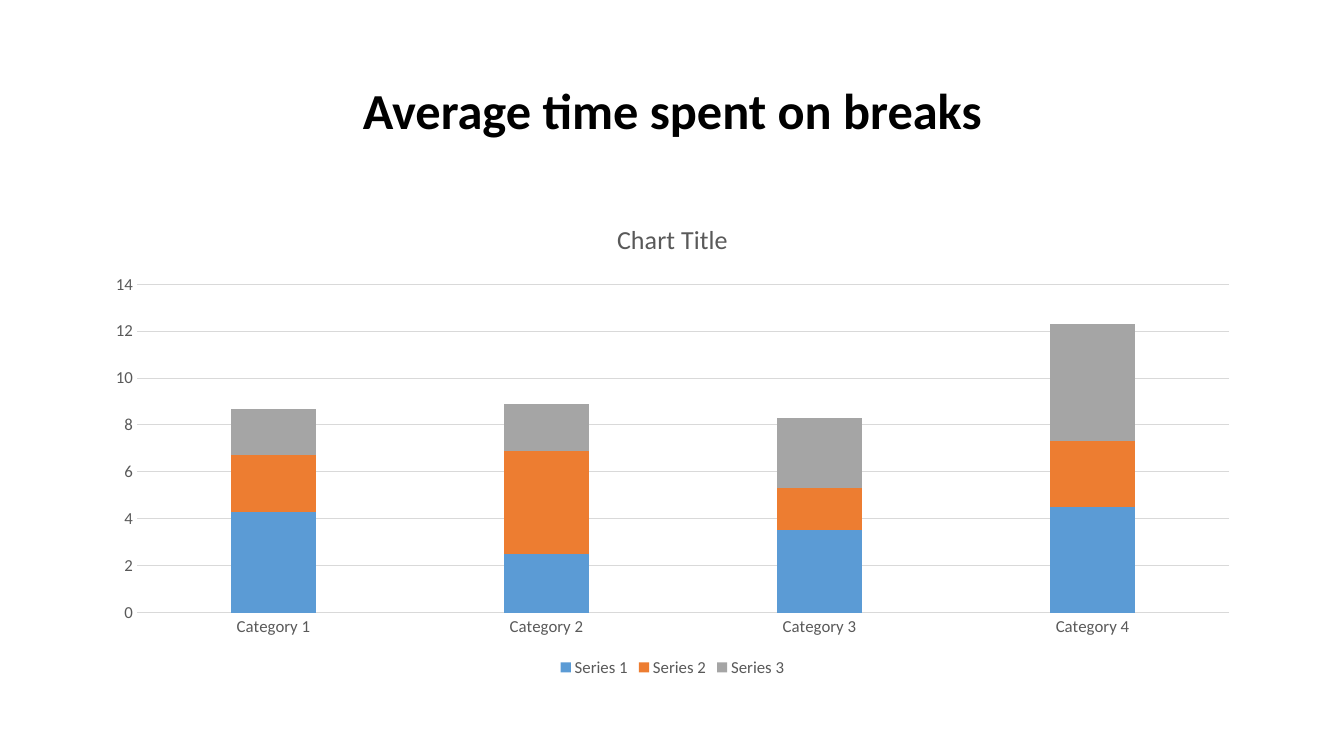
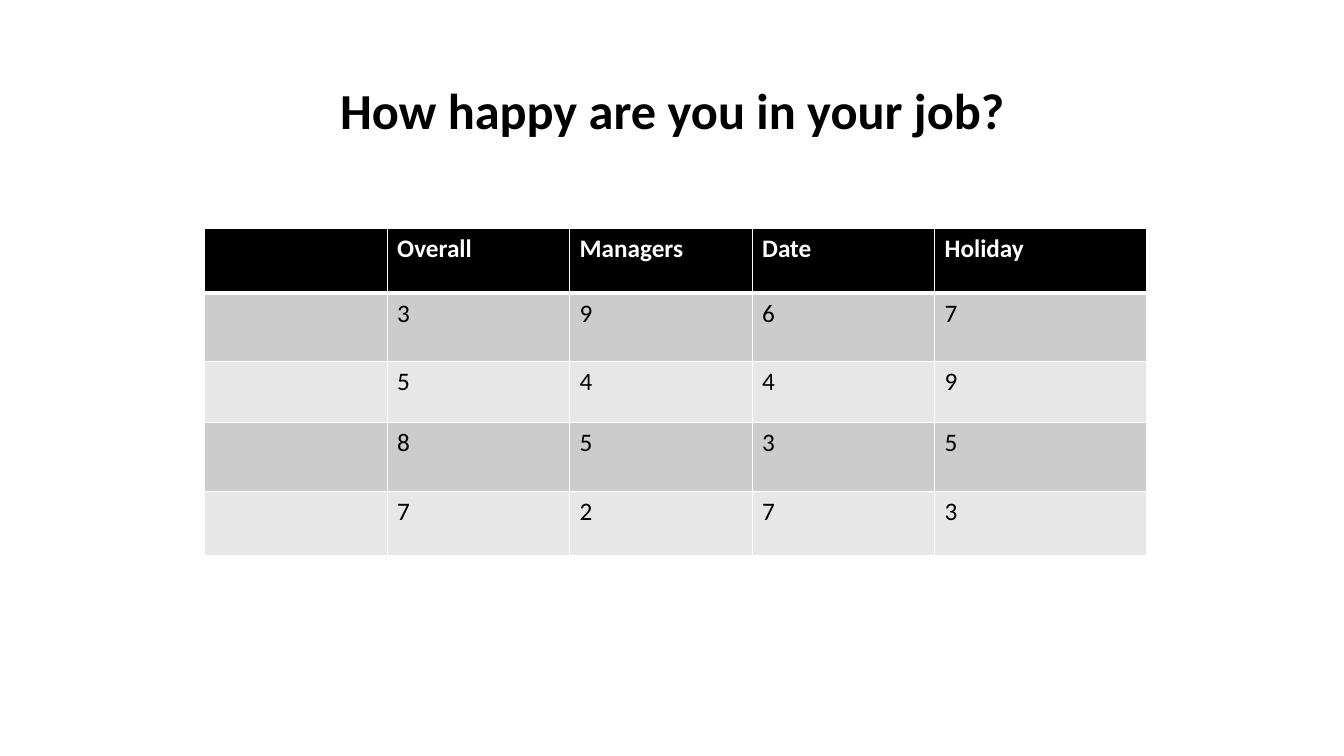
from lxml import etree
from pptx import Presentation
from pptx import util as u
from pptx.chart import data as d
from pptx.dml import color as c
from pptx.enum import chart as ch, text as t
from pptx.oxml import ns

HUES = {
    "ink": "000000", "paper": "FFFFFF", "soft": "595959", "rule": "D9D9D9",
    "dark": "CCCCCC", "light": "E7E7E7",
    "blue": "5B9BD5", "orange": "ED7D31", "gray": "A5A5A5",
}


def tint(name):
    return c.RGBColor.from_string(HUES[name])


class Deck:
    face = "Calibri"

    def __init__(self):
        self.file = Presentation()
        self.file.slide_width = u.Inches(13.33)
        self.file.slide_height = u.Inches(7.5)
        self.slide = None

    def font(self, font, size, hue, bold=False):
        font.name = self.face
        font.size = u.Pt(size)
        font.bold = bold
        font.color.rgb = tint(hue)

    def run(self, para, words, size, hue, bold=False):
        run = para.add_run()
        run.text = words
        self.font(run.font, size, hue, bold)

    def page(self, title):
        self.slide = self.file.slides.add_slide(self.file.slide_layouts[6])
        box = self.slide.shapes.add_textbox(
            u.Inches(0.92), u.Inches(0.4), u.Inches(11.5), u.Inches(1.45))
        frame = box.text_frame
        frame.word_wrap = True
        frame.vertical_anchor = t.MSO_ANCHOR.MIDDLE
        para = frame.paragraphs[0]
        para.alignment = t.PP_ALIGN.CENTER
        para.line_spacing = 0.9
        self.run(para, title, 36, "ink", True)

    def line(self, line):
        line.color.rgb = tint("rule")
        line.width = u.Pt(0.75)

    def chart(self, title, cats, rows, left, top, width, height):
        data = d.CategoryChartData()
        data.categories = cats
        for name, vals, hue in rows:
            data.add_series(name, vals)
        chart = self.slide.shapes.add_chart(
            ch.XL_CHART_TYPE.COLUMN_STACKED, u.Inches(left), u.Inches(top),
            u.Inches(width), u.Inches(height), data).chart
        self.font(chart.font, 12, "soft")
        chart.has_title = True
        self.run(chart.chart_title.text_frame.paragraphs[0], title, 18.6, "soft")
        chart.has_legend = True
        chart.legend.position = ch.XL_LEGEND_POSITION.BOTTOM
        chart.legend.include_in_layout = False
        self.font(chart.legend.font, 12, "soft")
        for axis in (chart.category_axis, chart.value_axis):
            axis.major_tick_mark = ch.XL_TICK_MARK.NONE
            axis.minor_tick_mark = ch.XL_TICK_MARK.NONE
            self.font(axis.tick_labels.font, 12, "soft")
        self.line(chart.category_axis.format.line)
        chart.value_axis.format.line.fill.background()
        self.line(chart.value_axis.major_gridlines.format.line)
        plot = chart.plots[0]
        plot.gap_width = 219
        plot.overlap = 100
        plot.vary_by_categories = False
        for bar, (name, vals, hue) in zip(plot.series, rows):
            bar.format.fill.solid()
            bar.format.fill.fore_color.rgb = tint(hue)
            bar.invert_if_negative = False

    def edge(self, cell, sides):
        props = cell._tc.get_or_add_tcPr()
        for spot, (side, width) in enumerate(sides.items()):
            line = etree.Element(ns.qn("a:ln" + side), w=str(u.Pt(width)))
            fill = etree.SubElement(line, ns.qn("a:solidFill"))
            etree.SubElement(fill, ns.qn("a:srgbClr"), val=HUES["paper"])
            props.insert(spot, line)

    def table(self, rows, left, top, wide, high):
        table = self.slide.shapes.add_table(
            len(rows), len(wide), u.Inches(left), u.Inches(top),
            u.Inches(sum(wide)), u.Inches(sum(high))).table
        for col, width in zip(table.columns, wide):
            col.width = u.Inches(width)
        for i, (row, size) in enumerate(zip(rows, high)):
            table.rows[i].height = u.Inches(size)
            head = i == 0
            back = "ink" if head else "dark" if i % 2 else "light"
            for j, words in enumerate(row):
                cell = table.cell(i, j)
                cell.fill.solid()
                cell.fill.fore_color.rgb = tint(back)
                self.edge(cell, {"L": 1, "R": 1, "T": 3 if i == 1 else 1,
                                 "B": 3 if head else 1})
                if words:
                    self.run(cell.text_frame.paragraphs[0], words, 18,
                             "paper" if head else "ink", head)


def main():
    deck = Deck()
    deck.page("Average time spent on breaks")
    deck.chart(
        "Chart Title",
        [f"Category {n}" for n in range(1, 5)],
        [("Series 1", (4.3, 2.5, 3.5, 4.5), "blue"),
         ("Series 2", (2.4, 4.4, 1.8, 2.8), "orange"),
         ("Series 3", (2, 2, 3, 5), "gray")],
        0.92, 2, 11.5, 4.76)
    deck.page("How happy are you in your job?")
    deck.table(
        [("", "Overall", "Managers", "Date", "Holiday"),
         ("", "3", "9", "6", "7"),
         ("", "5", "4", "4", "9"),
         ("", "8", "5", "3", "5"),
         ("", "7", "2", "7", "3")],
        2.03, 2.27, [1.81] * 4 + [2.1], [0.64, 0.68, 0.6, 0.69, 0.63])
    deck.file.save("out.pptx")


if __name__ == "__main__":
    main()
